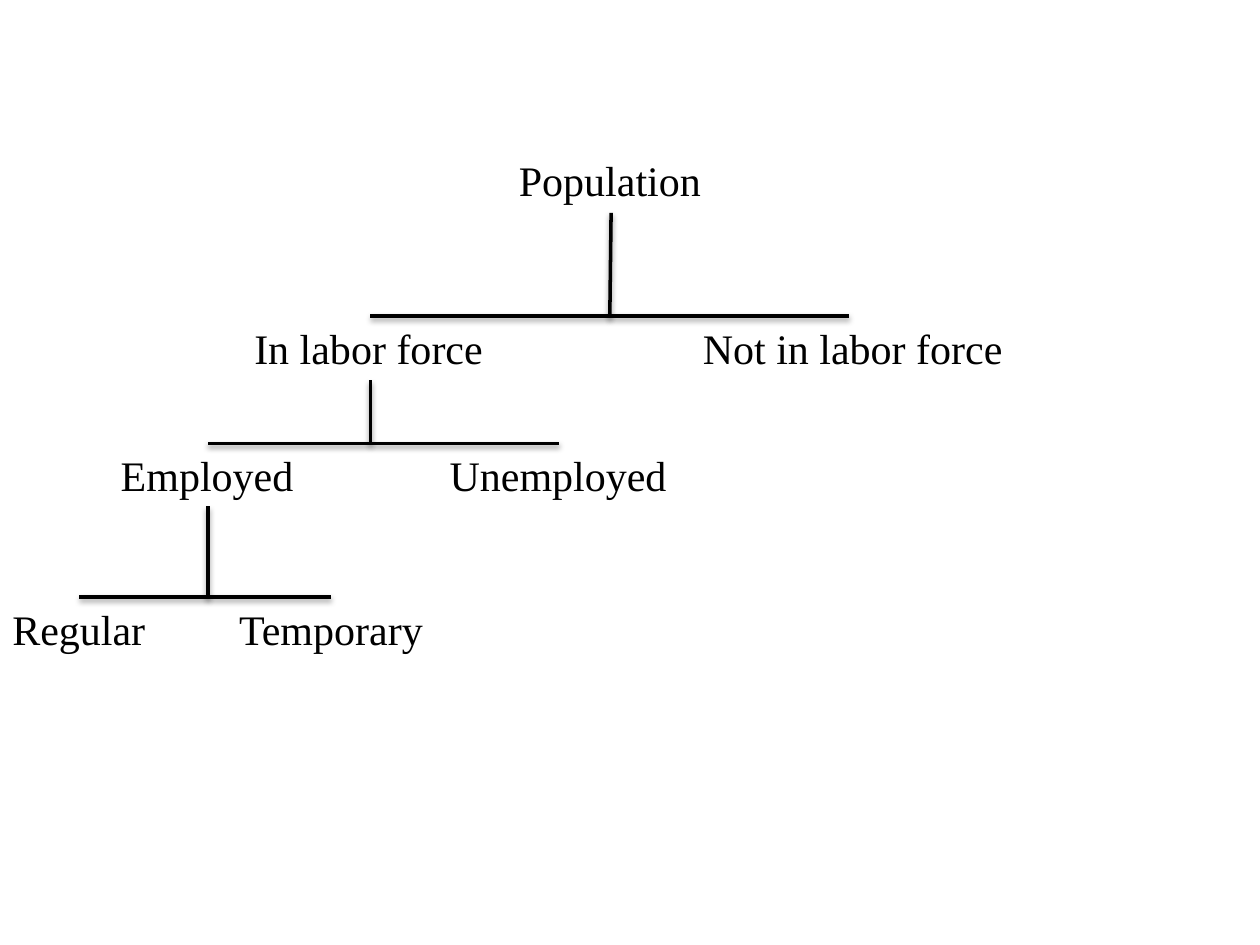
from dataclasses import dataclass

from lxml import etree
from pptx import Presentation
from pptx import util as u
from pptx.dml.color import RGBColor
from pptx.enum import shapes, text
from pptx.oxml import ns


@dataclass(frozen=True)
class Theme:
    """Hold the colours, type and line sizes of the tree."""
    ink: str = "000000"
    font: str = "Times New Roman"
    label_size: float = 24
    line_width: float = 2
    shadow_blur: float = 3.1
    shadow_distance: float = 1.6
    shadow_angle: int = 90
    shadow_opacity: int = 38


class TreePage:
    """Draw labels and branches on one slide in one style."""

    def __init__(self, page, theme):
        self.page = page
        self.theme = theme
        self.ink = RGBColor.from_string(theme.ink)

    def label(self, wording, left, top, width, height=0.5):
        box = self.page.shapes.add_textbox(*map(u.Inches, (left, top, width, height)))
        frame = box.text_frame
        frame.word_wrap = False
        frame.auto_size = text.MSO_AUTO_SIZE.SHAPE_TO_FIT_TEXT
        para = frame.paragraphs[0]
        para.alignment = text.PP_ALIGN.LEFT
        span = para.add_run()
        span.text = wording
        span.font.name = self.theme.font
        span.font.size = u.Pt(self.theme.label_size)
        span.font.color.rgb = self.ink

    def line(self, start, end):
        connector = self.page.shapes.add_connector(
            shapes.MSO_CONNECTOR.STRAIGHT, *map(u.Inches, (*start, *end)))
        connector.line.color.rgb = self.ink
        connector.line.width = u.Pt(self.theme.line_width)
        self.shadow(connector)

    def shadow(self, connector):
        theme = self.theme
        effects = etree.SubElement(connector._element.spPr, ns.qn("a:effectLst"))
        outer = etree.SubElement(
            effects, ns.qn("a:outerShdw"),
            blurRad=str(u.Pt(theme.shadow_blur)),
            dist=str(u.Pt(theme.shadow_distance)),
            dir=str(theme.shadow_angle * 60000), rotWithShape="0")
        colour = etree.SubElement(outer, ns.qn("a:srgbClr"), val=theme.ink)
        etree.SubElement(colour, ns.qn("a:alpha"), val=str(theme.shadow_opacity * 1000))

    def branch(self, stem, joint, child_centres):
        self.line(stem, joint)
        for centre in child_centres:
            self.line(joint, (centre, joint[1]))


LEVELS = [
    (1.18, [("Population", 4.02, 1.66)]),
    (2.51, [("In labor force", 1.92, 2.03), ("Not in labor force ", 5.48, 2.6)]),
    (3.52, [("Employed", 0.86, 1.59), ("Unemployed", 3.47, 1.94)]),
    (4.74, [("Regular", 0, 1.27), ("Temporary", 1.8, 1.67)]),
]
BRANCHES = [
    ((4.85, 1.69), (4.84, 2.51), (2.94, 6.74)),
    ((2.94, 3.02), (2.94, 3.52), (4.44, 1.65)),
    ((1.65, 4.02), (1.65, 4.74), (2.63, 0.63)),
]

deck = Presentation()
deck.slide_width, deck.slide_height = u.Inches(10), u.Inches(7.5)
tree = TreePage(deck.slides.add_slide(deck.slide_layouts[6]), Theme())
for top, labels in LEVELS:
    for wording, left, width in labels:
        tree.label(wording, left, top, width)
for stem, joint, child_centres in BRANCHES:
    tree.branch(stem, joint, child_centres)
deck.save("out.pptx")
